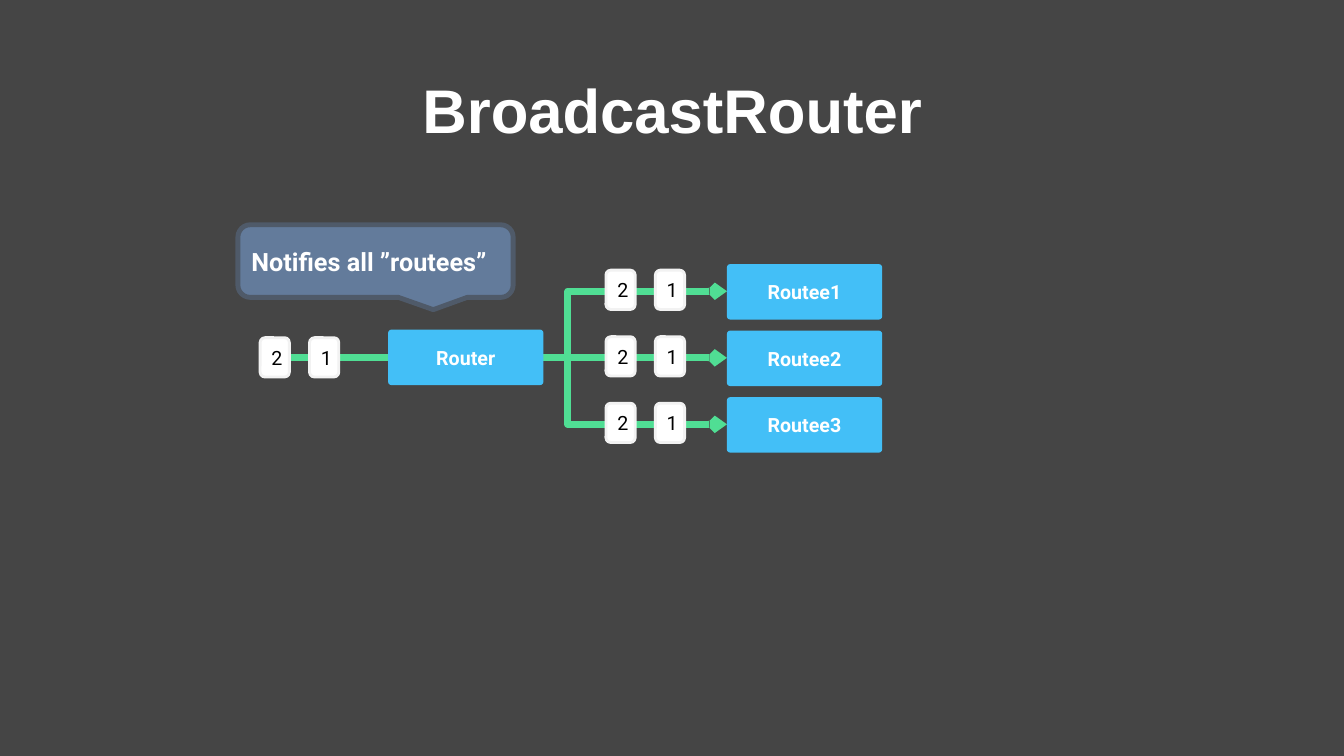
from dataclasses import dataclass

from lxml import etree
from pptx import Presentation
from pptx.dml import color
from pptx.enum import shapes, text
from pptx.oxml import ns
from pptx.util import Inches, Pt


@dataclass(frozen=True)
class Theme:
    """Colours, fonts and type sizes of the slide."""
    background: str = "454545"
    light: str = "FFFFFF"
    dark: str = "000000"
    route: str = "50DE94"
    node: str = "43BFF7"
    tile_edge: str = "F2F2F2"
    callout: str = "637B9B"
    callout_edge: str = "4F5A69"
    title_font: str = "Arial"
    body_font: str = "Roboto"
    title_size: int = 44
    callout_size: int = 18
    label_size: int = 14


def rgb(value):
    """Turn a hex string into a colour."""
    return color.RGBColor.from_string(value)


class Diagram:
    """Draws the elements of a routing diagram on one slide."""

    def __init__(self, slide, theme):
        """Keep the slide and theme and paint the background."""
        self.slide = slide
        self.theme = theme
        slide.background.fill.solid()
        slide.background.fill.fore_color.rgb = rgb(theme.background)

    def label(self, shape, words, size, ink, bold=True, font=None, align=text.PP_ALIGN.CENTER):
        """Put one formatted paragraph into a shape."""
        frame = shape.text_frame
        frame.word_wrap = True
        frame.vertical_anchor = text.MSO_ANCHOR.MIDDLE
        paragraph = frame.paragraphs[0]
        paragraph.text = words
        paragraph.alignment = align
        paragraph.font.name = font or self.theme.body_font
        paragraph.font.size = Pt(size)
        paragraph.font.bold = bold
        paragraph.font.color.rgb = rgb(ink)
        return paragraph

    def title(self, words, left, top, width, height):
        """Place and format the title placeholder."""
        title = self.slide.shapes.title
        title.left, title.top = Inches(left), Inches(top)
        title.width, title.height = Inches(width), Inches(height)
        theme = self.theme
        paragraph = self.label(title, words, theme.title_size, theme.light, font=theme.title_font)
        paragraph.line_spacing = 0.9

    def block(self, kind, left, top, width, height, fill, edge=None, edge_width=0, adjustments=()):
        """Add a filled shape with an optional outline."""
        shape = self.slide.shapes.add_shape(
            kind, Inches(left), Inches(top), Inches(width), Inches(height))
        shape.shadow.inherit = False
        for index, value in enumerate(adjustments):
            shape.adjustments[index] = value
        shape.fill.solid()
        shape.fill.fore_color.rgb = rgb(fill)
        if edge:
            shape.line.color.rgb = rgb(edge)
            shape.line.width = Pt(edge_width)
        else:
            shape.line.fill.background()
        return shape

    def node(self, words, left, top):
        """Add a router or routee box."""
        shape = self.block(shapes.MSO_SHAPE.ROUNDED_RECTANGLE, left, top, 1.54, 0.55,
                           self.theme.node, adjustments=[0.06])
        self.label(shape, words, self.theme.label_size, self.theme.light)

    def messages(self, left, top):
        """Add the queued message tiles, the first message foremost."""
        for index, number in enumerate("21"):
            tile = self.block(shapes.MSO_SHAPE.ROUNDED_RECTANGLE, left + 0.49 * index, top,
                              0.29, 0.39, self.theme.light, self.theme.tile_edge, 2)
            self.label(tile, number, self.theme.label_size, self.theme.dark, bold=False)

    def callout(self, words, left, top, width, height):
        """Add the speech bubble."""
        shape = self.block(shapes.MSO_SHAPE.ROUNDED_RECTANGULAR_CALLOUT, left, top, width, height,
                           self.theme.callout, self.theme.callout_edge, 3.5,
                           [0.21, 0.67, 0.17])
        self.label(shape, words, self.theme.callout_size, self.theme.light,
                   align=text.PP_ALIGN.LEFT)

    def route(self, start, end, arrow=True):
        """Connect two points, with an elbow when their heights differ."""
        bent = start[1] != end[1]
        kind = shapes.MSO_CONNECTOR.ELBOW if bent else shapes.MSO_CONNECTOR.STRAIGHT
        connector = self.slide.shapes.add_connector(kind, *map(Inches, start + end))
        connector.line.color.rgb = rgb(self.theme.route)
        connector.line.width = Pt(5)
        properties = connector._element.spPr
        if bent:
            guides = properties.find(ns.qn("a:prstGeom")).get_or_add_avLst()
            etree.SubElement(guides, ns.qn("a:gd"), name="adj1", fmla="val 13300")
        if arrow:
            etree.SubElement(properties.find(ns.qn("a:ln")), ns.qn("a:tailEnd"),
                             type="arrow", w="sm", len="sm")
        etree.SubElement(properties, ns.qn("a:effectLst"))


def main():
    """Build and save the slide."""
    presentation = Presentation()
    presentation.slide_width, presentation.slide_height = Inches(13.33), Inches(7.5)
    slide = presentation.slides.add_slide(presentation.slide_layouts[5])
    diagram = Diagram(slide, Theme())

    router_left, router_right, routee_left, middle = 3.85, 5.39, 7.21, 3.55
    lanes = [middle + 0.66 * step for step in (-1, 0, 1)]

    diagram.title("BroadcastRouter", 0.92, 0.4, 11.5, 1.45)
    for lane in lanes:
        diagram.route((router_right, middle), (routee_left, lane))
    diagram.route((2.75, middle), (router_left, middle), arrow=False)
    diagram.messages(2.58, middle - 0.2)
    diagram.node("Router", router_left, middle - 0.28)
    for number, lane in enumerate(lanes, 1):
        diagram.messages(6.01, lane - 0.21)
        diagram.node(f"Routee{number}", routee_left, lane - 0.27)
    diagram.callout("Notifies all ”routees”", 2.36, 2.23, 2.73, 0.72)

    presentation.save("out.pptx")


if __name__ == "__main__":
    main()
